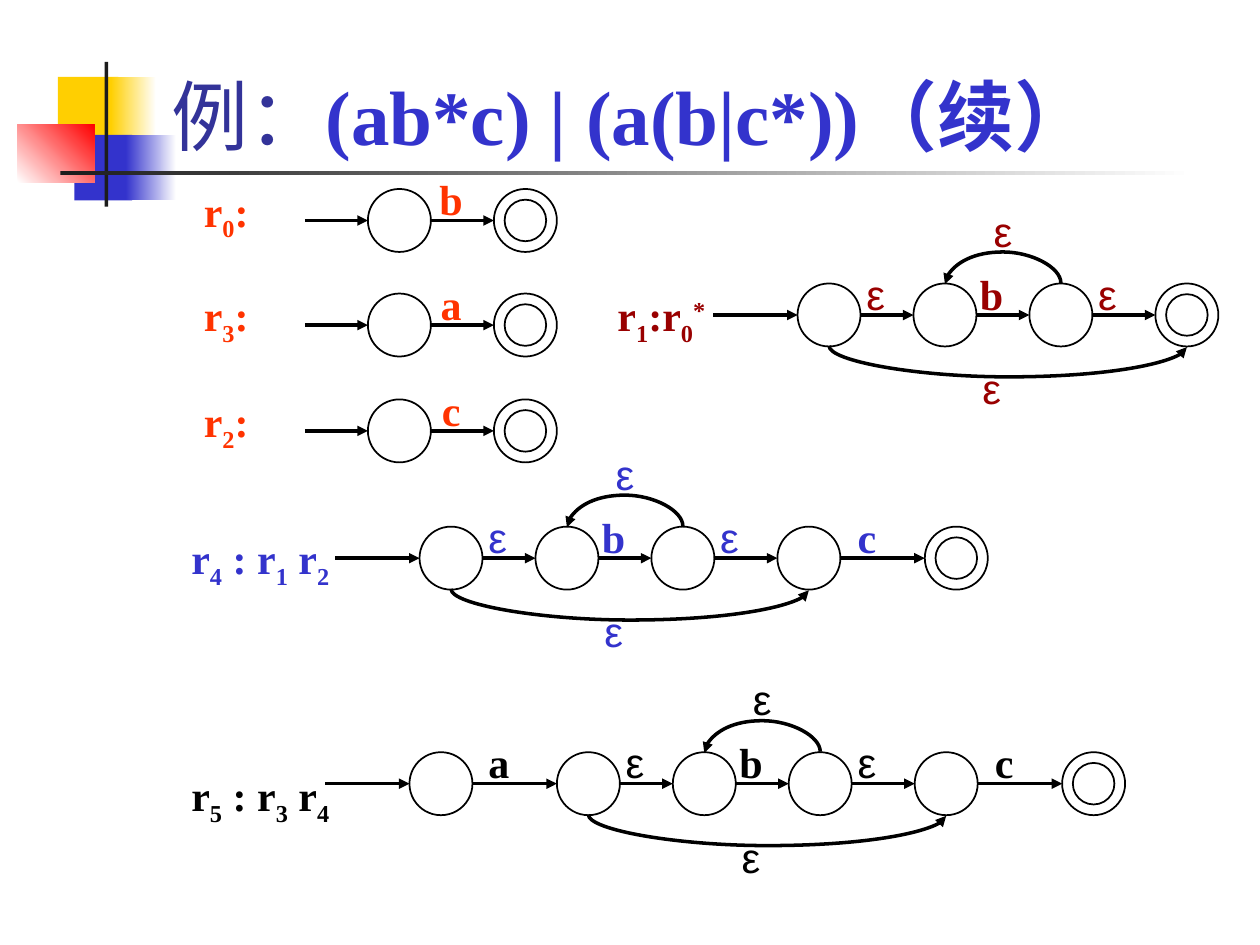
"""Build the slide that shows the automata for (ab*c) | (a(b|c*))."""
from dataclasses import dataclass
from typing import Optional

from lxml import etree
from pptx import Presentation
from pptx.dml import color as col
from pptx.enum import shapes as es, text as et
from pptx.oxml import ns
from pptx.util import Inches, Pt

HUES = {"red": "FF3300", "wine": "990000", "blue": "3333CC", "navy": "333399", "black": "000000",
        "gold": "FFCF01", "ink": "1C1C1C", "pure": "FF0000", "white": "FFFFFF"}
SERIF, SANS = "Times New Roman", "Arial"
SIZE, RING, BEND, THIN = 0.5, 0.33, 0.25, 0.01


@dataclass
class Edge:
    sign: str
    gap: float


@dataclass
class Net:
    tag: tuple
    box: tuple
    hue: str
    left: float
    mid: float
    edges: tuple
    star: Optional[int] = None


@dataclass
class Block:
    box: tuple
    hue: str
    fade: Optional[str] = None
    turn: int = 0


BLOCKS = (
    Block((0.46, 0.61, 0.48, 0.52), "gold"),
    Block((0.88, 0.61, 0.36, 0.52), "gold", "white"),
    Block((0.59, 1.07, 0.46, 0.52), "blue"),
    Block((1, 1.07, 0.4, 0.52), "blue", "white"),
    Block((0.14, 0.99, 0.61, 0.46), "white", "pure", 45),
    Block((0.83, 0.49, 0.03, 1.15), "ink"),
    Block((0.48, 1.36, 9, 0.03), "ink", "white"),
)
STAR = (Edge("ε", 0.42), Edge("b", 0.42), Edge("ε", 0.5))
TAIL = (Edge("c", 0.67),)
BASE = tuple(
    Net(("r", num, ":"), (1.42, mid - 0.33, 0.75), "red", 2.92, mid, (Edge(sign, 0.5),))
    for num, sign, mid in (("3", "a", 2.58), ("0", "b", 1.75), ("2", "c", 3.42)))
NETS = BASE + (
    Net(("r", "1", ":r", "0", "*"), (4.75, 2.25, 1), "wine", 6.33, 2.5, STAR, 0),
    Net(("r", "4", " : r", "1", " r", "2"), (1.42, 4.18, 1.42), "blue", 3.33, 4.43, STAR + TAIL, 0),
    Net(("r", "5", " : r", "3", " r", "4"), (1.42, 6.06, 1.42), "black", 3.25, 6.22,
        (Edge("a", 0.67),) + STAR + TAIL, 1),
)


def rgb(hue: str) -> col.RGBColor:
    return col.RGBColor.from_string(HUES[hue])


def write(para, words: str, *, hue: str, size: int = 24, font: str = SERIF,
          bold: bool = True, base: int = 0) -> None:
    run = para.add_run()
    run.text = words
    run.font.size, run.font.name, run.font.bold = Pt(size), font, bold
    run.font.color.rgb = rgb(hue)
    if base:
        run.font._element.set("baseline", str(base * 1000))


def label(slide, left: float, top: float, parts: tuple, hue: str,
          width: float = 0.58, center: bool = True) -> None:
    box = slide.shapes.add_textbox(Inches(left), Inches(top), Inches(width), Inches(0.5))
    box.text_frame.word_wrap = True
    box.text_frame.auto_size = et.MSO_AUTO_SIZE.SHAPE_TO_FIT_TEXT
    para = box.text_frame.paragraphs[0]
    para.alignment = et.PP_ALIGN.CENTER if center else et.PP_ALIGN.LEFT
    for part in parts:
        base = 30 if part == "*" else -25 if part.isdigit() else 0
        greek = part == "ε"
        write(para, part, hue=hue, font=SANS if greek else SERIF, bold=not greek, base=base)


def block(slide, item: Block) -> None:
    shape = slide.shapes.add_shape(es.MSO_SHAPE.RECTANGLE, *map(Inches, item.box))
    shape.shadow.inherit = False
    shape.line.fill.background()
    if item.fade is None:
        shape.fill.solid()
        shape.fill.fore_color.rgb = rgb(item.hue)
        return
    shape.fill.gradient()
    shape.fill.gradient_angle = item.turn
    for stop, hue, spot in zip(shape.fill.gradient_stops, (item.hue, item.fade), (0, 1)):
        stop.color.rgb, stop.position = rgb(hue), spot


def ring(slide, x: float, y: float, size: float) -> None:
    shape = slide.shapes.add_shape(es.MSO_SHAPE.OVAL, Inches(x - size / 2), Inches(y - size / 2),
                                   Inches(size), Inches(size))
    shape.shadow.inherit = False
    shape.fill.background()
    shape.line.color.rgb, shape.line.width = rgb("black"), Pt(1)


def arrow(slide, kind, x1: float, y1: float, x2: float, y2: float):
    line = slide.shapes.add_connector(kind, *map(Inches, (x1, y1, x2, y2)))
    line.line.color.rgb, line.line.width = rgb("black"), Pt(2)
    etree.SubElement(line.line._get_or_add_ln(), ns.qn("a:tailEnd"), type="triangle")
    etree.SubElement(line.element.spPr, ns.qn("a:effectLst"))
    return line


def arc(slide, x1: float, x2: float, y: float) -> None:
    """Bend an arrow below y when it runs right, and above y when it runs left."""
    mid, half = (x1 + x2) / 2, (x2 - x1) / 2
    line = arrow(slide, es.MSO_CONNECTOR.CURVE, mid + THIN / 2, y - half, mid - THIN / 2, y + half)
    line.rotation = 270
    ratio = round(BEND / THIN * 100000) * (1 if half > 0 else -1)
    geom = line.element.spPr.find(ns.qn("a:prstGeom"))
    etree.SubElement(geom.find(ns.qn("a:avLst")), ns.qn("a:gd"), name="adj1", fmla=f"val {ratio}")


def draw(slide, net: Net) -> None:
    x, y, width = net.box
    plain = net.star is None
    label(slide, x, y, net.tag, net.hue, width, center=plain or net.hue == "wine")
    half, kind = SIZE / 2, es.MSO_CONNECTOR.STRAIGHT
    spots = [net.left + half]
    for edge in net.edges:
        spots.append(spots[-1] + SIZE + edge.gap)
    for spot in spots:
        ring(slide, spot, net.mid, SIZE)
    ring(slide, spots[-1], net.mid, RING)
    arrow(slide, kind, net.left - (0.5 if plain else 0.67), net.mid, net.left, net.mid)
    for edge, spot in zip(net.edges, spots):
        start = spot + half
        arrow(slide, kind, start, net.mid, start + edge.gap, net.mid)
        lead = 0.13 if plain else 0.08 if edge.gap > 0.6 else 0.17
        label(slide, start - lead, net.mid - 0.42, (edge.sign,), net.hue)
    if not plain:
        first, back, front, last = spots[net.star:net.star + 4]
        arc(slide, first, last, net.mid + half)
        arc(slide, front, back, net.mid - half)
        label(slide, back + 0.08, net.mid + 0.33, ("ε",), net.hue)
        label(slide, back + 0.17, net.mid - 0.92, ("ε",), net.hue)


def head(slide) -> None:
    title = slide.shapes.title
    title.left, title.top, title.width, title.height = map(Inches, (1.26, 0.08, 8.52, 1.25))
    frame = title.text_frame
    frame.vertical_anchor = et.MSO_ANCHOR.BOTTOM
    frame.auto_size = et.MSO_AUTO_SIZE.NONE
    para = frame.paragraphs[0]
    para.alignment = et.PP_ALIGN.LEFT
    write(para, "例：", hue="navy", size=44, bold=False)
    write(para, "(ab*c) | (a(b|c*))（续）", hue="blue", size=44)


def main() -> None:
    deck = Presentation()
    deck.slide_width, deck.slide_height = Inches(10), Inches(7.5)
    slide = deck.slides.add_slide(deck.slide_layouts[5])
    head(slide)
    for item in BLOCKS:
        block(slide, item)
    for net in NETS:
        draw(slide, net)
    deck.save("out.pptx")


if __name__ == "__main__":
    main()
